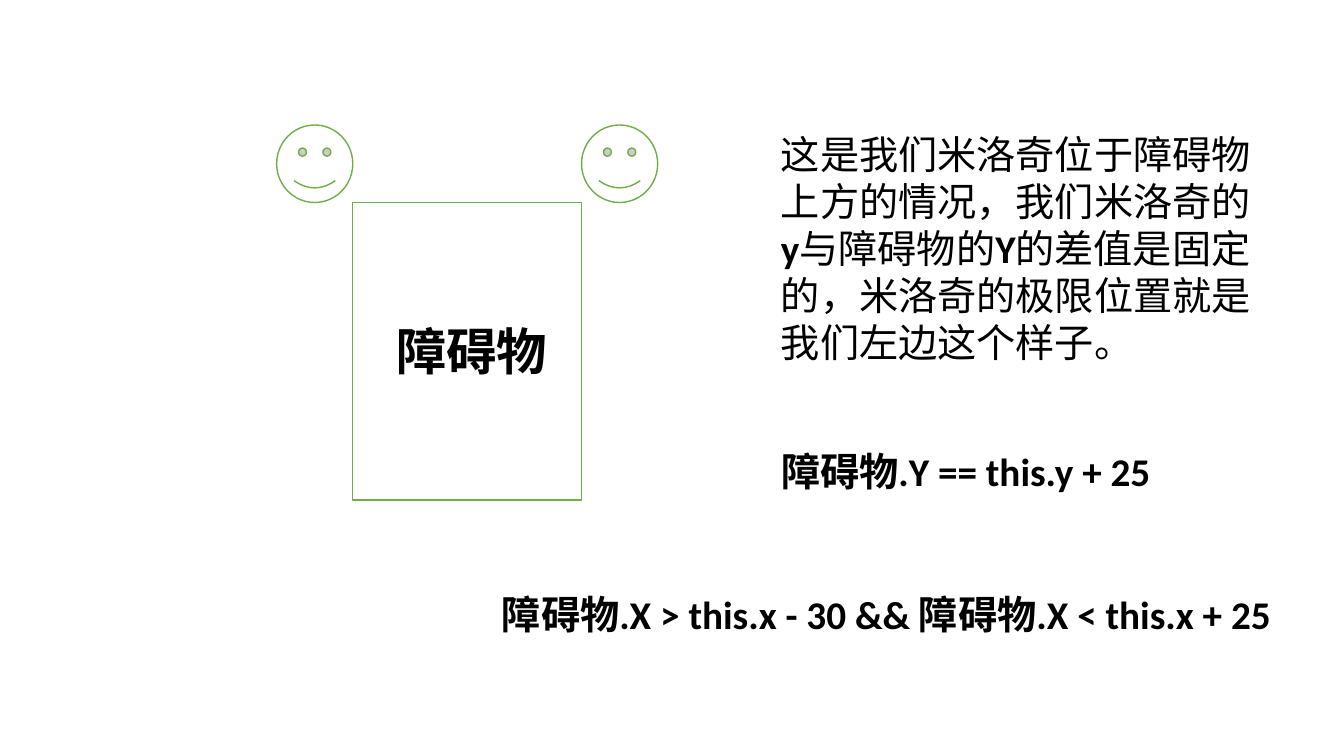
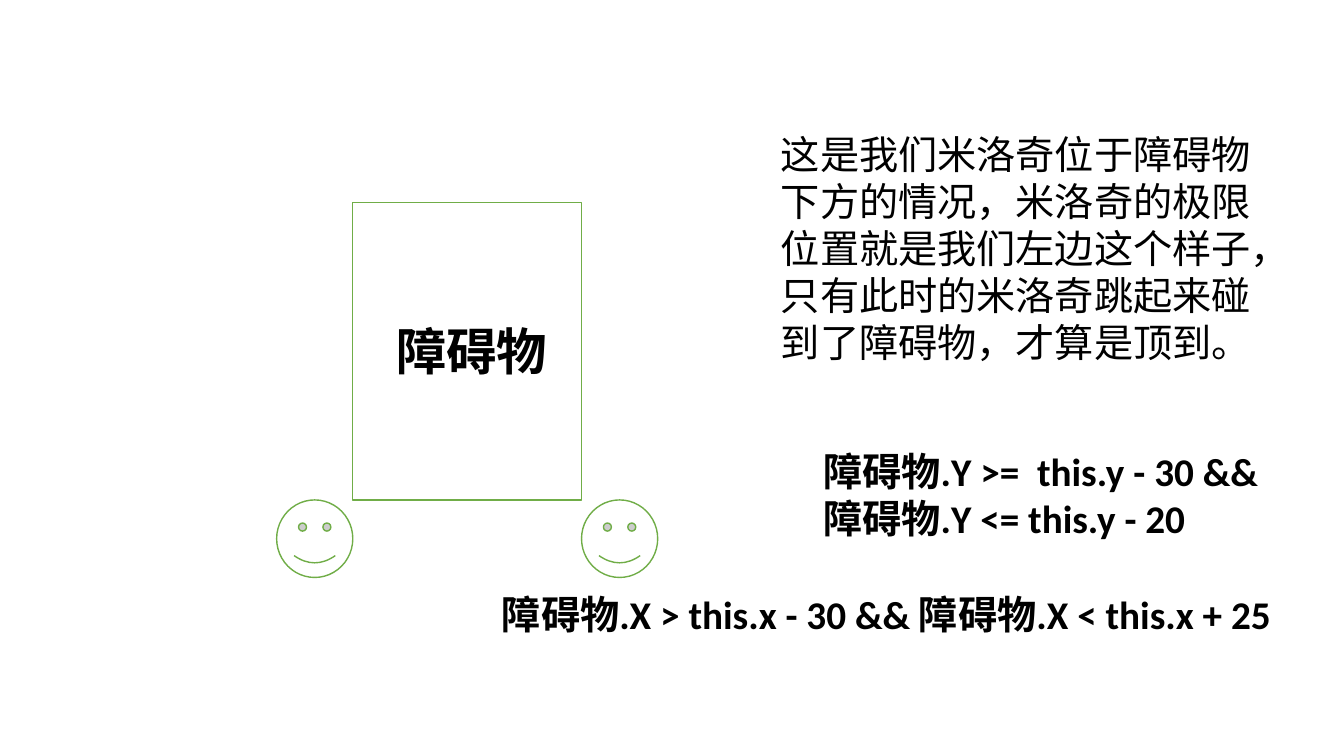
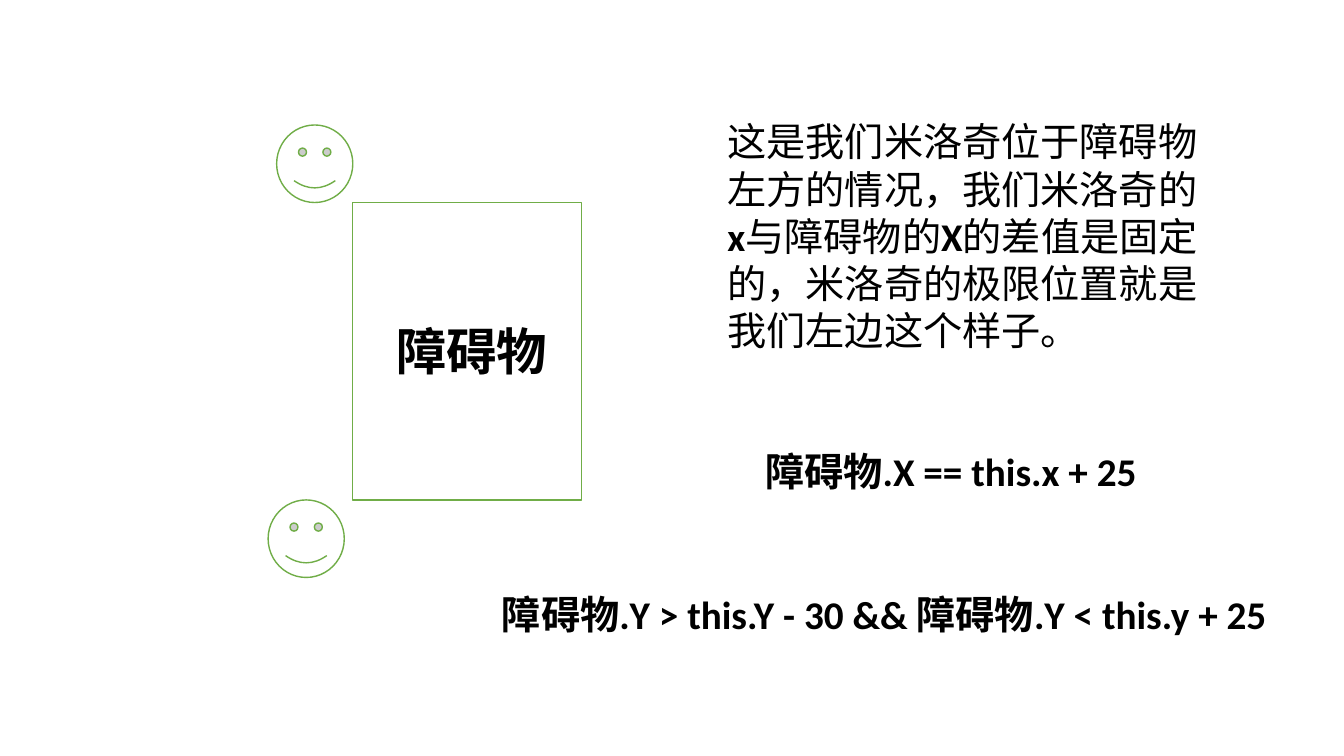
from dataclasses import dataclass
from typing import NamedTuple

from pptx import Presentation
from pptx.dml.color import RGBColor
from pptx.enum.shapes import MSO_SHAPE
from pptx.enum.text import MSO_AUTO_SIZE
from pptx.util import Pt

RECTANGLE = MSO_SHAPE.RECTANGLE
SMILEY = MSO_SHAPE.SMILEY_FACE
GROW_TO_TEXT = MSO_AUTO_SIZE.SHAPE_TO_FIT_TEXT

BLANK_LAYOUT = 6
BLACK, WHITE, GREEN = "000000", "FFFFFF", "70AD47"
BODY_SIZE, LABEL_SIZE = 28, 36


class Box(NamedTuple):
    left: float
    top: float
    width: float
    height: float


class Run(NamedTuple):
    text: str
    bold: bool = False


@dataclass
class TextBlock:
    box: Box
    runs: list[Run]
    size: float = BODY_SIZE


@dataclass
class CollisionCase:
    """One side of the obstacle: player positions, explanation and conditions."""
    players: list[Box]
    texts: list[TextBlock]


OBSTACLE = Box(252, 144.7, 163.4, 212.4)
OBSTACLE_LABEL = TextBlock(Box(275.8, 225.4, 139.7, 51), [Run("障碍物", True)], LABEL_SIZE)
RANGE_BOX = Box(351.4, 418.3, 586.8, 41.2)

PLAYER_WIDTH, PLAYER_HEIGHT = 54.4, 55.4
LEFT_SIDE = OBSTACLE.left - PLAYER_WIDTH
RIGHT_SIDE = OBSTACLE.left + OBSTACLE.width
ABOVE = OBSTACLE.top - PLAYER_HEIGHT
BELOW = OBSTACLE.top + OBSTACLE.height


def player(left: float, top: float) -> Box:
    return Box(left, top, PLAYER_WIDTH, PLAYER_HEIGHT)


def explanation(left: float, top: float, *runs: Run) -> TextBlock:
    return TextBlock(Box(left, top, 355.7, 177.1), list(runs))


def condition(box: Box, text: str) -> TextBlock:
    return TextBlock(box, [Run(text, True)])


def fixed_axis_explanation(left: float, top: float, side: str, axis: str) -> TextBlock:
    return explanation(
        left, top,
        Run(f"这是我们米洛奇位于障碍物{side}的情况，我们米洛奇的"),
        Run(axis, True),
        Run("与障碍物的"),
        Run(axis.upper(), True),
        Run("的差值是固定的，米洛奇的极限位置就是我们左边这个样子。"),
    )


HORIZONTAL_RANGE = condition(RANGE_BOX, "障碍物.X > this.x - 30 && 障碍物.X < this.x + 25")
VERTICAL_RANGE = condition(RANGE_BOX, "障碍物.Y > this.Y - 30 && 障碍物.Y < this.y + 25")

CASES = [
    CollisionCase(
        [player(LEFT_SIDE, ABOVE), player(RIGHT_SIDE, ABOVE)],
        [
            fixed_axis_explanation(550.8, 89.3, "上方", "y"),
            condition(Box(550.8, 316, 301.7, 41.2), "障碍物.Y == this.y + 25"),
            HORIZONTAL_RANGE,
        ],
    ),
    CollisionCase(
        [player(LEFT_SIDE, BELOW), player(RIGHT_SIDE, BELOW)],
        [
            explanation(550.8, 89.3, Run(
                "这是我们米洛奇位于障碍物下方的情况，米洛奇的极限位置就是我们左边这个样子，"
                "只有此时的米洛奇跳起来碰到了障碍物，才算是顶到。")),
            condition(Box(581, 316, 339.1, 75.1),
                      "障碍物.Y >=  this.y - 30 && 障碍物.Y <= this.y - 20"),
            HORIZONTAL_RANGE,
        ],
    ),
    CollisionCase(
        [player(LEFT_SIDE, ABOVE), player(191.5, BELOW)],
        [
            fixed_axis_explanation(512.6, 80.6, "左方", "x"),
            condition(Box(539.5, 316, 301.7, 41.2), "障碍物.X == this.x + 25"),
            VERTICAL_RANGE,
        ],
    ),
]


def color(value: str) -> RGBColor:
    return RGBColor.from_string(value)


def in_points(box: Box) -> list[Pt]:
    return [Pt(length) for length in box]


def add_outlined_shape(slide, kind: MSO_SHAPE, box: Box) -> None:
    shape = slide.shapes.add_shape(kind, *in_points(box))
    shape.shadow.inherit = False
    shape.fill.solid()
    shape.fill.fore_color.rgb = color(WHITE)
    shape.line.color.rgb = color(GREEN)
    shape.line.width = Pt(1)


def add_text(slide, block: TextBlock) -> None:
    frame = slide.shapes.add_textbox(*in_points(block.box)).text_frame
    frame.word_wrap = True
    frame.auto_size = GROW_TO_TEXT
    paragraph = frame.paragraphs[0]
    for text, bold in block.runs:
        run = paragraph.add_run()
        run.text = text
        font_format = {"name": "Calibri", "size": Pt(block.size), "bold": bold}
        for attribute, value in font_format.items():
            setattr(run.font, attribute, value)
        run.font.color.rgb = color(BLACK)


def add_case_slide(presentation, case: CollisionCase) -> None:
    slide = presentation.slides.add_slide(presentation.slide_layouts[BLANK_LAYOUT])
    add_outlined_shape(slide, RECTANGLE, OBSTACLE)
    add_text(slide, OBSTACLE_LABEL)
    for box in case.players:
        add_outlined_shape(slide, SMILEY, box)
    for block in case.texts:
        add_text(slide, block)


def main() -> None:
    presentation = Presentation()
    presentation.slide_width = Pt(960)
    presentation.slide_height = Pt(540)
    for case in CASES:
        add_case_slide(presentation, case)
    presentation.save("out.pptx")


if __name__ == "__main__":
    main()
